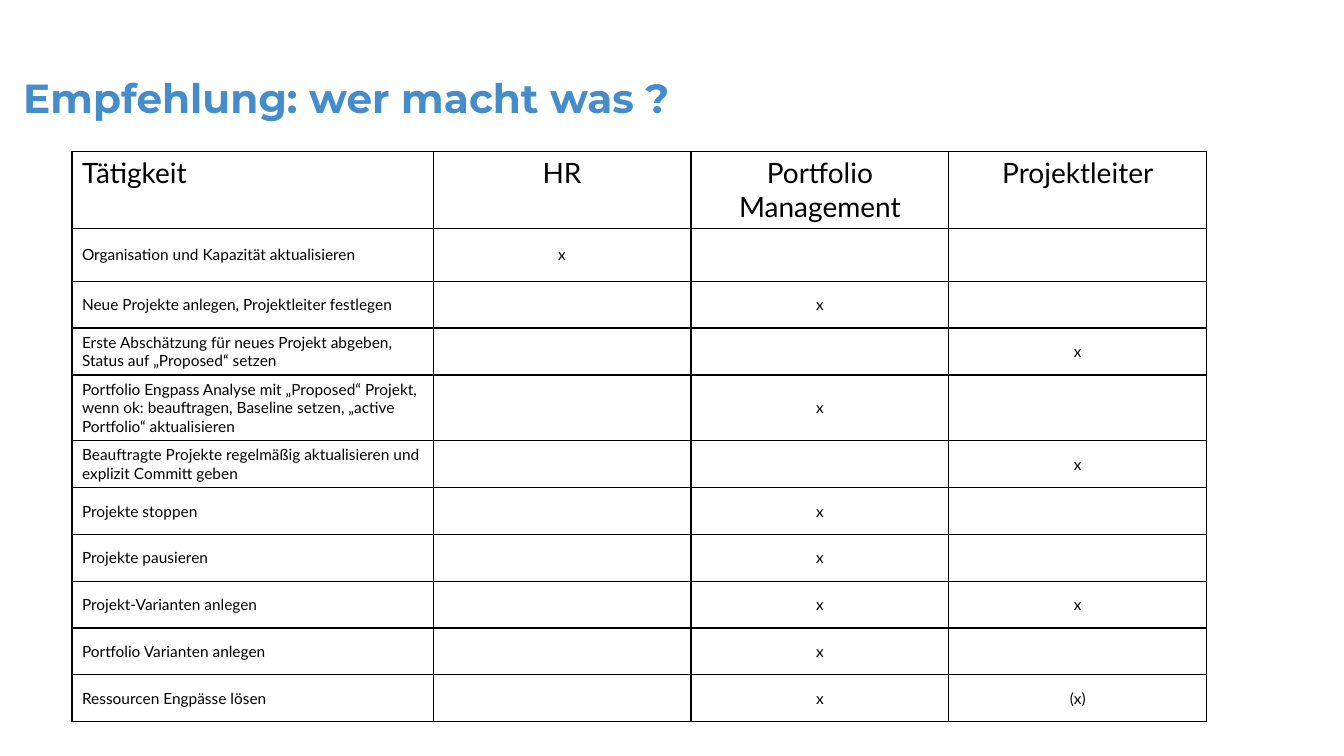
import dataclasses

import lxml.etree
import pptx
import pptx.dml.color
import pptx.enum.text
import pptx.oxml.ns
import pptx.util

Pt = pptx.util.Pt
ALIGN = pptx.enum.text.PP_ALIGN
ANCHOR = pptx.enum.text.MSO_ANCHOR
BLACK = "000000"
BLUE = "458CCB"


@dataclasses.dataclass(frozen=True)
class Style:
    font: str
    size: float
    color: str = BLACK
    bold: bool = False


@dataclasses.dataclass(frozen=True)
class Task:
    name: str
    hr: str = ""
    portfolio: str = ""
    leader: str = ""
    height: float = 33.4


TITLE = Style("Montserrat", 29, BLUE, True)
HEADING = Style("Lato", 20)
BODY = Style("Lato", 11)
COLUMN_WIDTHS = (258, 184.2, 184.2, 184.2)
HEADER = Task("Tätigkeit", "HR", "Portfolio Management", "Projektleiter", 35.2)
TASKS = (
    Task("Organisation und Kapazität aktualisieren", hr="x", height=37.6),
    Task("Neue Projekte anlegen, Projektleiter festlegen", portfolio="x"),
    Task("Erste Abschätzung für neues Projekt abgeben, Status auf „Proposed“ setzen", leader="x"),
    Task(
        "Portfolio Engpass Analyse mit „Proposed“ Projekt, wenn ok: beauftragen, "
        "Baseline setzen, „active Portfolio“ aktualisieren",
        portfolio="x",
    ),
    Task("Beauftragte Projekte regelmäßig aktualisieren und explizit Committ geben", leader="x"),
    Task("Projekte stoppen", portfolio="x"),
    Task("Projekte pausieren", portfolio="x"),
    Task("Projekt-Varianten anlegen", portfolio="x", leader="x"),
    Task("Portfolio Varianten anlegen", portfolio="x"),
    Task("Ressourcen Engpässe lösen", portfolio="x", leader="(x)"),
)


def rgb(color: str) -> pptx.dml.color.RGBColor:
    return pptx.dml.color.RGBColor.from_string(color)


def add_span(para, text: str, style: Style) -> None:
    span = para.add_run()
    span.text = text
    span.font.name = style.font
    span.font.size = Pt(style.size)
    span.font.bold = style.bold
    span.font.color.rgb = rgb(style.color)


def add_borders(cell, color: str, width: float) -> None:
    properties = cell._tc.get_or_add_tcPr()
    qn = pptx.oxml.ns.qn
    for position, side in enumerate(("lnL", "lnR", "lnT", "lnB")):
        line = lxml.etree.Element(qn(f"a:{side}"), w=str(Pt(width)))
        fill = lxml.etree.SubElement(line, qn("a:solidFill"))
        lxml.etree.SubElement(fill, qn("a:srgbClr"), val=color)
        properties.insert(position, line)


def fill_cell(cell, text: str, style: Style, align: ALIGN, anchor: ANCHOR) -> None:
    cell.fill.background()
    cell.vertical_anchor = anchor
    para = cell.text_frame.paragraphs[0]
    para.alignment = align
    if text:
        add_span(para, text, style)
    add_borders(cell, BLACK, 1)


def add_title(page, text: str) -> None:
    box = page.shapes.add_textbox(Pt(16.6), Pt(10.8), Pt(779.8), Pt(76.3))
    frame = box.text_frame
    frame.word_wrap = True
    frame.vertical_anchor = ANCHOR.BOTTOM
    frame.margin_left = frame.margin_right = frame.margin_top = frame.margin_bottom = 0
    add_span(frame.paragraphs[0], text, TITLE)


def add_task_table(page) -> None:
    rows = (HEADER, *TASKS)
    table = page.shapes.add_table(
        len(rows), len(COLUMN_WIDTHS), Pt(51.4), Pt(108),
        Pt(sum(COLUMN_WIDTHS)), Pt(sum(row.height for row in rows)),
    ).table
    table.first_row = False
    table.horz_banding = False
    for column, width in zip(table.columns, COLUMN_WIDTHS):
        column.width = Pt(width)
    for row_index, task in enumerate(rows):
        table.rows[row_index].height = Pt(task.height)
        style = BODY if row_index else HEADING
        anchor = ANCHOR.MIDDLE if row_index else ANCHOR.TOP
        texts = (task.name, task.hr, task.portfolio, task.leader)
        for column_index, text in enumerate(texts):
            align = ALIGN.CENTER if column_index else ALIGN.LEFT
            fill_cell(table.cell(row_index, column_index), text, style, align, anchor)


def main() -> None:
    deck = pptx.Presentation()
    deck.slide_width = Pt(960)
    deck.slide_height = Pt(540)
    page = deck.slides.add_slide(deck.slide_layouts[6])
    add_title(page, "Empfehlung: wer macht was ?")
    add_task_table(page)
    deck.save("out.pptx")


if __name__ == "__main__":
    main()
